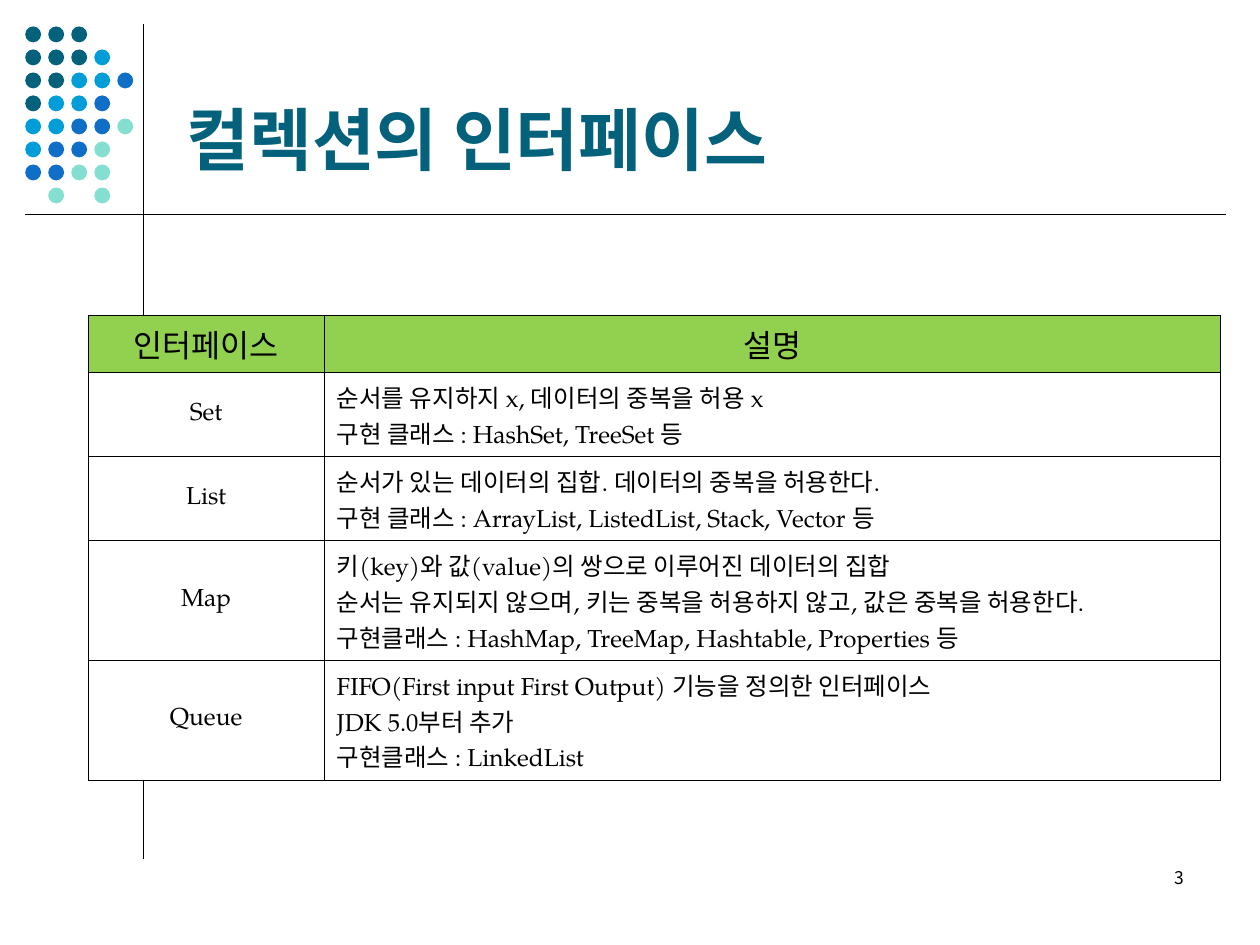
"""Builds a slide that explains the collection interfaces in a table."""
import pptx
import pptx.dml.color
import pptx.enum.shapes
import pptx.enum.text
import pptx.oxml
import pptx.oxml.ns
import pptx.util
from lxml import etree

Pt = pptx.util.Pt
ALIGN = pptx.enum.text.PP_ALIGN
ANCHOR = pptx.enum.text.MSO_ANCHOR
COLORS = {"teal": "04617B", "sky": "009DD9", "blue": "0F6FC6", "mint": "85DFD0",
          "black": "000000", "white": "FFFFFF", "green": "92D050"}
KOREAN = "Noto Sans CJK KR"

TITLE = "컬렉션의 인터페이스"
PAGE_NUMBER = "3"
ROWS = [
    ("인터페이스", ["설명"]),
    ("Set", ["순서를 유지하지 x, 데이터의 중복을 허용 x",
             "구현 클래스 : HashSet, TreeSet 등"]),
    ("List", ["순서가 있는 데이터의 집합. 데이터의 중복을 허용한다.",
              "구현 클래스 : ArrayList, ListedList, Stack, Vector 등"]),
    ("Map", ["키(key)와 값(value)의 쌍으로 이루어진 데이터의 집합",
             "순서는 유지되지 않으며, 키는 중복을 허용하지 않고, 값은 중복을 허용한다.",
             "구현클래스 : HashMap, TreeMap, Hashtable, Properties 등"]),
    ("Queue", ["FIFO(First input First Output) 기능을 정의한 인터페이스",
               "JDK 5.0부터 추가",
               "구현클래스 : LinkedList"]),
]
COLUMN_WIDTHS = [134.8, 512]
ROW_HEIGHTS = {1: 48, 2: 48, 3: 68.5}
HEADER_HEIGHT = 33

DOT_ROWS = ["TTT", "TTTS", "TTSSB", "TSSB", "SSBBM", "SBBM", "BBMM", " M M"]
DOT_COLORS = {"T": "teal", "S": "sky", "B": "blue", "M": "mint"}
DOT_LEFT, DOT_TOP, DOT_PITCH, DOT_SIZE = 14.4, 15.1, 13.15, 9.1
RULES = [(82.1, 13.7, 82.1, 491), (14.4, 122.4, 700.6, 122.4)]


def color(name):
    return pptx.dml.color.RGBColor.from_string(COLORS[name])


def write(frame, lines, align, ink="black", **font):
    for index, line in enumerate(lines):
        para = frame.paragraphs[0] if index == 0 else frame.add_paragraph()
        para.alignment = align
        span = para.add_run()
        span.text = line
        span.font.color.rgb = color(ink)
        for key, value in font.items():
            setattr(span.font, key, value)
        east = etree.SubElement(span.font._element, pptx.oxml.ns.qn("a:ea"))
        east.set("typeface", KOREAN)


def add_rule(page, ends):
    rule = page.shapes.add_connector(
        pptx.enum.shapes.MSO_CONNECTOR.STRAIGHT, *map(Pt, ends))
    rule.line.color.rgb = color("black")
    rule.line.width = Pt(0.75)
    etree.SubElement(rule._element.spPr, pptx.oxml.ns.qn("a:effectLst"))


def add_dots(page):
    group = page.shapes.add_group_shape()
    for row, letters in enumerate(DOT_ROWS):
        for column, letter in enumerate(letters):
            if letter == " ":
                continue
            dot = group.shapes.add_shape(
                pptx.enum.shapes.MSO_SHAPE.OVAL,
                Pt(DOT_LEFT + column * DOT_PITCH), Pt(DOT_TOP + row * DOT_PITCH),
                Pt(DOT_SIZE), Pt(DOT_SIZE))
            dot.shadow.inherit = False
            dot.fill.solid()
            dot.fill.fore_color.rgb = color(DOT_COLORS[letter])
            dot.line.fill.background()


def add_borders(cell):
    properties = cell._tc.get_or_add_tcPr()
    for side in ("lnL", "lnR", "lnT", "lnB"):
        properties.append(pptx.oxml.parse_xml(
            f'<a:{side} {pptx.oxml.ns.nsdecls("a")} w="{Pt(0.45)}"><a:solidFill>'
            f'<a:srgbClr val="{COLORS["black"]}"/></a:solidFill></a:{side}>'))


def add_interface_table(page):
    heights = [HEADER_HEIGHT] + [ROW_HEIGHTS[len(lines)] for _, lines in ROWS[1:]]
    table = page.shapes.add_table(
        len(ROWS), len(COLUMN_WIDTHS), Pt(50.4), Pt(180),
        Pt(sum(COLUMN_WIDTHS)), Pt(sum(heights))).table
    for column, width in zip(table.columns, COLUMN_WIDTHS):
        column.width = Pt(width)
    for index, (name, lines) in enumerate(ROWS):
        table.rows[index].height = Pt(heights[index])
        header = index == 0
        for column, content in enumerate(([name], lines)):
            cell = table.cell(index, column)
            add_borders(cell)
            cell.fill.solid()
            cell.fill.fore_color.rgb = color("green" if header else "white")
            cell.vertical_anchor = ANCHOR.MIDDLE
            centred = header or column == 0
            write(cell.text_frame, content, ALIGN.CENTER if centred else ALIGN.LEFT,
                  name="TeX Gyre Pagella", size=Pt(18 if header else 14), bold=False)


def place_title(page):
    title = page.shapes.title
    box = {"left": 99.4, "top": 15.1, "width": 594, "height": 90.7}
    for key, value in box.items():
        setattr(title, key, Pt(value))
    frame = title.text_frame
    layout = {"auto_size": pptx.enum.text.MSO_AUTO_SIZE.NONE,
              "vertical_anchor": ANCHOR.BOTTOM, "word_wrap": True}
    for key, value in layout.items():
        setattr(frame, key, value)
    write(frame, [TITLE], ALIGN.LEFT, "teal", name="Open Sans", size=Pt(39), bold=True)


def main():
    deck = pptx.Presentation()
    deck.slide_width, deck.slide_height = Pt(720), Pt(540)
    page = deck.slides.add_slide(deck.slide_layouts.get_by_name("Title Only"))
    place_title(page)
    add_dots(page)
    for ends in RULES:
        add_rule(page, ends)
    number = page.shapes.add_textbox(Pt(516), Pt(491.8), Pt(168), Pt(36))
    number.text_frame.word_wrap = True
    write(number.text_frame, [PAGE_NUMBER], ALIGN.RIGHT, name=KOREAN, size=Pt(10))
    add_interface_table(page)
    deck.save("out.pptx")


if __name__ == "__main__":
    main()
